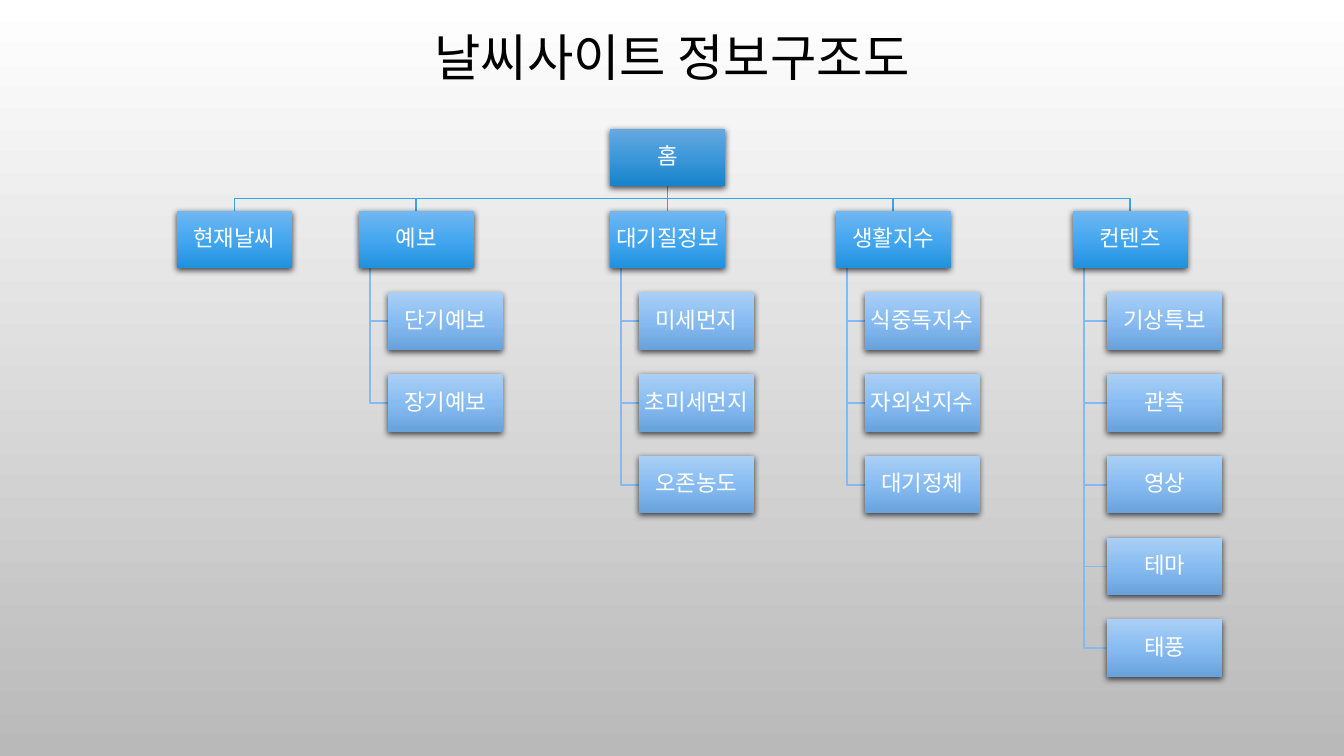
import copy

import pptx
import pptx.dml.color
import pptx.enum.shapes
import pptx.enum.text
import pptx.oxml
import pptx.oxml.ns
import pptx.util
from pptx.util import Cm

# Content: section name, left edge (cm), indent of its pages (cm), pages
TITLE = "날씨사이트 정보구조도"
HOME = "홈"
SECTIONS = [
    ("현재날씨", 4.46, 0.73, []),
    ("예보", 9.04, 0.73, ["단기예보", "장기예보"]),
    ("대기질정보", 15.37, 0.73, ["미세먼지", "초미세먼지", "오존농도"]),
    ("생활지수", 21.06, 0.73, ["식중독지수", "자외선지수", "대기정체"]),
    ("컨텐츠", 27.03, 0.87, ["기상특보", "관측", "영상", "테마", "태풍"]),
]

# Style
FONT = "Calibri"
BACKGROUND = ["FFFFFF", "B9B9B9"]
HOME_FILL = ["67A9DF", "3C97D9", "1683CA"]
SECTION_FILL = ["71B8F2", "45A7EF", "2091DE"]
PAGE_FILL = ["AACFF5", "87BCF2", "68A2DB"]
SECTION_LINE, PAGE_LINE = "38A4EE", "83BAF2"

# Geometry in cm
BOX_WIDTH, BOX_HEIGHT = 2.9, 1.45
TOP, ROW_STEP = 3.25, 2.06
HOME_LEFT = 15.37
TRUNK_INDENT = BOX_WIDTH / 10

SHADOW = (
    '<a:outerShdw %s blurRad="57150" dist="19050" dir="5400000" algn="ctr" '
    'rotWithShape="0"><a:srgbClr val="000000"><a:alpha val="69000"/>'
    "</a:srgbClr></a:outerShdw>" % pptx.oxml.ns.nsdecls("a")
)


def colour(code):
    return pptx.dml.color.RGBColor.from_string(code)


def row_top(row):
    return TOP + row * ROW_STEP


def paint_gradient(fill, element, codes):
    """Fill from top to bottom with evenly spaced colours."""
    fill.gradient()
    fill.gradient_angle = 270
    stop_list = element.xpath(".//a:gsLst")[0]
    while len(stop_list) < len(codes):
        stop_list.append(copy.deepcopy(stop_list[0]))
    for index, (stop, code) in enumerate(zip(fill.gradient_stops, codes)):
        stop.position = index / (len(codes) - 1)
        stop.color.rgb = colour(code)


def write_text(shape, text, size, code, margin):
    frame = shape.text_frame
    frame.word_wrap = True
    frame.vertical_anchor = pptx.enum.text.MSO_ANCHOR.MIDDLE
    frame.margin_left = frame.margin_right = Cm(margin)
    frame.margin_top = frame.margin_bottom = Cm(margin)
    paragraph = frame.paragraphs[0]
    paragraph.text = text
    paragraph.alignment = pptx.enum.text.PP_ALIGN.CENTER
    paragraph.line_spacing = 0.9
    paragraph.font.name = FONT
    paragraph.font.size = pptx.util.Pt(size)
    paragraph.font.color.rgb = colour(code)


def draw_box(shapes, text, left, top, codes):
    box = shapes.add_shape(
        pptx.enum.shapes.MSO_SHAPE.RECTANGLE,
        Cm(left), Cm(top), Cm(BOX_WIDTH), Cm(BOX_HEIGHT))
    paint_gradient(box.fill, box._element, codes)
    box.line.fill.background()
    box.shadow.inherit = False
    effects = box._element.spPr.find(pptx.oxml.ns.qn("a:effectLst"))
    effects.append(pptx.oxml.parse_xml(SHADOW))
    write_text(box, text, 16, "FFFFFF", 0.03)


def draw_line(shapes, points, code):
    """Straight connector for two points, open outline for more."""
    points = [(Cm(x), Cm(y)) for x, y in points]
    if len(points) == 2:
        line = shapes.add_connector(
            pptx.enum.shapes.MSO_CONNECTOR.STRAIGHT, *points[0], *points[1])
        pptx.oxml.ns.qn("a:effectLst")
        line._element.spPr.append(pptx.oxml.parse_xml(
            "<a:effectLst %s/>" % pptx.oxml.ns.nsdecls("a")))
    else:
        builder = shapes.build_freeform(*points[0])
        builder.add_line_segments(points[1:], close=False)
        line = builder.convert_to_shape()
        line.fill.background()
        line.shadow.inherit = False
    line.line.color.rgb = colour(code)
    line.line.width = pptx.util.Pt(1.25)


def draw_section_lines(shapes, left, indent, pages):
    # From the home box down to the section
    start_x, end_x = HOME_LEFT + BOX_WIDTH / 2, left + BOX_WIDTH / 2
    start_y, end_y = TOP + BOX_HEIGHT, row_top(1)
    middle = (start_y + end_y) / 2
    bend = [] if start_x == end_x else [(start_x, middle), (end_x, middle)]
    draw_line(shapes, [(start_x, start_y), *bend, (end_x, end_y)], SECTION_LINE)

    # From the section to each of its pages
    trunk = left + TRUNK_INDENT
    for row in range(2, len(pages) + 2):
        centre = row_top(row) + BOX_HEIGHT / 2
        draw_line(shapes, [(trunk, row_top(1) + BOX_HEIGHT), (trunk, centre),
                           (left + indent, centre)], PAGE_LINE)


def main():
    presentation = pptx.Presentation()
    presentation.slide_width, presentation.slide_height = Cm(33.87), Cm(19.05)
    slide = presentation.slides.add_slide(presentation.slide_layouts[6])
    shapes = slide.shapes
    paint_gradient(slide.background.fill, slide._element, BACKGROUND)

    # Title
    title = shapes.add_textbox(Cm(2.54), Cm(0.28), Cm(28.79), Cm(2.49))
    write_text(title, TITLE, 36, "000000", 0.2)

    # Lines lie behind the boxes
    for name, left, indent, pages in SECTIONS:
        draw_section_lines(shapes, left, indent, pages)

    # Boxes
    draw_box(shapes, HOME, HOME_LEFT, TOP, HOME_FILL)
    for name, left, indent, pages in SECTIONS:
        draw_box(shapes, name, left, row_top(1), SECTION_FILL)
        for row, page in enumerate(pages, start=2):
            draw_box(shapes, page, left + indent, row_top(row), PAGE_FILL)

    presentation.save("out.pptx")


if __name__ == "__main__":
    main()
